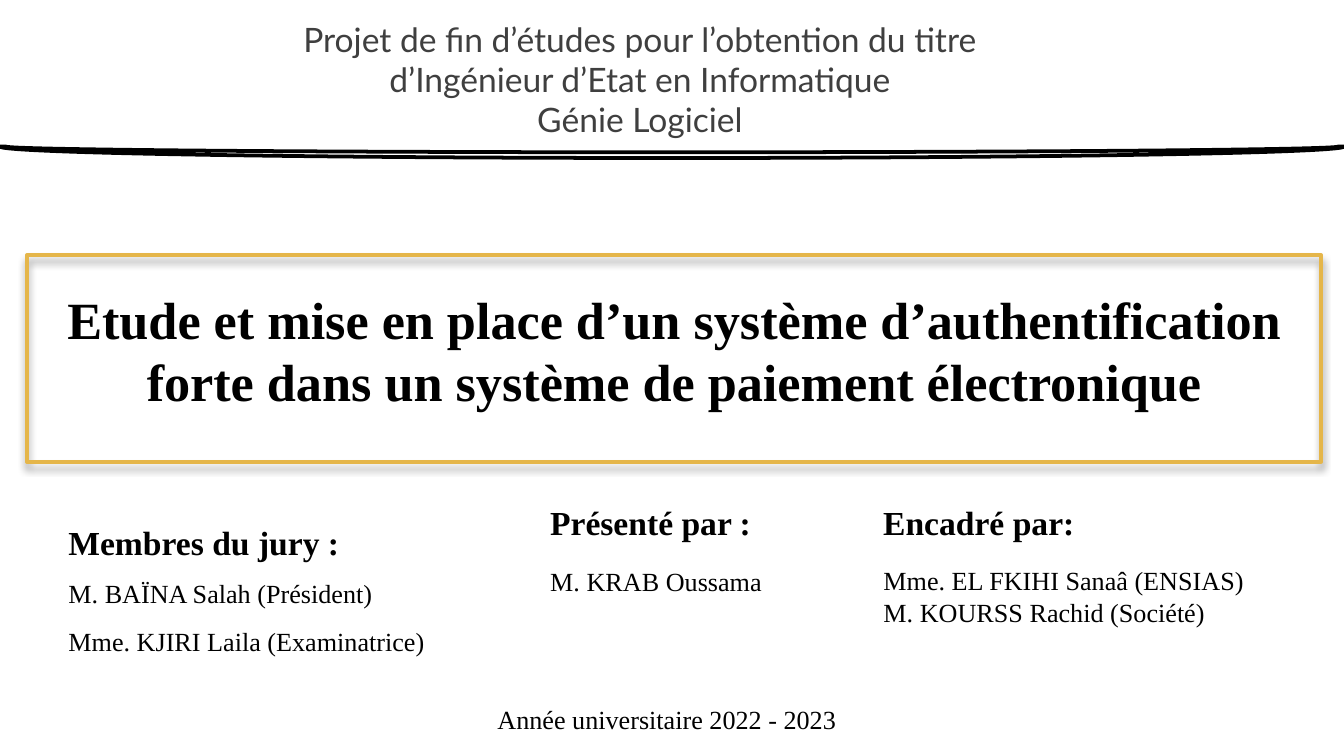
import pptx
import pptx.util
import pptx.dml.color
import pptx.enum.shapes
import pptx.enum.text
import pptx.oxml

SCALE = 914400 / 134.4
SERIF = "Times New Roman"
KIND = pptx.enum.shapes.MSO_SHAPE
LEFT = pptx.enum.text.PP_ALIGN.LEFT
MID = pptx.enum.text.PP_ALIGN.CENTER
NS = 'xmlns:a="http://schemas.openxmlformats.org/drawingml/2006/main"'
SHADE = (f'<a:effectLst {NS}><a:outerShdw blurRad="50800" dist="38100" dir="5400000" rotWithShape="0">'
         '<a:srgbClr val="000000"><a:alpha val="40000"/></a:srgbClr></a:outerShdw></a:effectLst>')


def px(num):
    """Turn pixels into EMU."""
    return pptx.util.Emu(round(num * SCALE))


def tint(code):
    """Turn a hex string into a colour."""
    return pptx.dml.color.RGBColor.from_string(code)


def place(shape, box):
    """Move a shape to a box and return it."""
    shape.left, shape.top, shape.width, shape.height = map(px, box)
    return shape


def label(slide, box):
    """Add an empty text box."""
    return slide.shapes.add_textbox(*map(px, box))


def form(slide, kind, box, edge=None):
    """Add an unfilled preset shape with an optional edge colour."""
    shape = slide.shapes.add_shape(kind, *map(px, box))
    shape.shadow.inherit = False
    shape.fill.background()
    if edge:
        shape.line.color.rgb = tint(edge)
        shape.line.width = pptx.util.Pt(2)
    else:
        shape.line.fill.background()
    return shape


def write(shape, lines, align=LEFT, face=SERIF, color="000000", space=1.0):
    """Fill a shape with lines of (text, size, bold)."""
    frame = shape.text_frame
    frame.word_wrap = True
    frame.auto_size = pptx.enum.text.MSO_AUTO_SIZE.NONE
    frame.vertical_anchor = pptx.enum.text.MSO_ANCHOR.TOP
    frame.text = "\n".join(line[0] for line in lines)
    for para, (_, size, bold) in zip(frame.paragraphs, lines):
        para.alignment = align
        para.line_spacing = space
        para.space_before = pptx.util.Pt(0)
        if shape.is_placeholder:
            props = para._p.get_or_add_pPr()
            props.set("marL", "0")
            props.set("indent", "0")
            props.append(pptx.oxml.parse_xml(f"<a:buNone {NS}/>"))
        font = para.font
        font.name, font.size, font.bold = face, pptx.util.Pt(size), bold
        font.color.rgb = tint(color)


def header(slide, box):
    """Draw the degree lines above a thin curved rule."""
    x, y, wide, high = box
    arc = form(slide, KIND.BLOCK_ARC, (x, y + high - 23, wide, 23), "000000")
    arc.fill.solid()
    arc.fill.fore_color.rgb = tint("FFFFFF")
    arc.rotation = 180
    lines = ("Projet de fin d’études pour l’obtention du titre",
             "d’Ingénieur d’Etat en Informatique", "Génie Logiciel")
    write(label(slide, (x + 192, y + 12, 896, 136)),
          [(line, 18, False) for line in lines], MID, "Lato", "3F3F3F")


def topic(slide, box):
    """Draw the title in its gold frame."""
    x, y, wide, high = box
    frame = form(slide, KIND.RECTANGLE, box, "E5B64A")
    props = frame._element.spPr
    props.replace(props.find(pptx.oxml.ns.qn("a:effectLst")), pptx.oxml.parse_xml(SHADE))
    title = place(slide.shapes.title, (x - 11, y + 25, wide + 22, high - 32))
    write(title, [("Etude et mise en place d’un système d’authentification "
                   "forte dans un système de paiement électronique", 28, True)], MID)


def jury(slide, box):
    """List the members of the jury."""
    write(place(slide.placeholders[1], box),
          [("Membres du jury :", 18, True), ("M. BAÏNA Salah (Président)", 14, False),
           ("Mme. KJIRI Laila (Examinatrice)", 14, False)], space=1.5)


def author(slide, box):
    """Name the presenter under a heading."""
    x, y, wide, high = box
    write(form(slide, KIND.FLOWCHART_PROCESS, (x, y, 254, high)), [("Présenté par :", 18, True)])
    write(label(slide, (x, y + 64, wide, 46)), [("M. KRAB Oussama", 14, False)])


def mentors(slide, box):
    """List the supervisors under a heading."""
    x, y, wide, high = box
    write(label(slide, (x, y, wide, 54)), [("Encadré par:", 18, True)])
    write(place(slide.placeholders[2], (x, y + 63, wide, high - 63)),
          [("Mme. EL FKIHI Sanaâ (ENSIAS)", 14, False),
           ("M. KOURSS Rachid (Société)", 14, False)])


def footer(slide, box):
    """Write the academic year."""
    write(label(slide, box), [("Année universitaire 2022 - 2023", 14, False)], MID)


def main():
    """Build the cover slide and save it."""
    deck = pptx.Presentation()
    deck.slide_width, deck.slide_height = px(1344), px(756)
    slide = deck.slides.add_slide(deck.slide_layouts[3])
    header(slide, (0, 0, 1344, 158))
    topic(slide, (27, 255, 1294, 207))
    jury(slide, (55, 495, 488, 202))
    author(slide, (537, 495, 274, 231))
    mentors(slide, (870, 495, 445, 202))
    footer(slide, (483, 697, 368, 46))
    deck.save("out.pptx")


if __name__ == "__main__":
    main()
